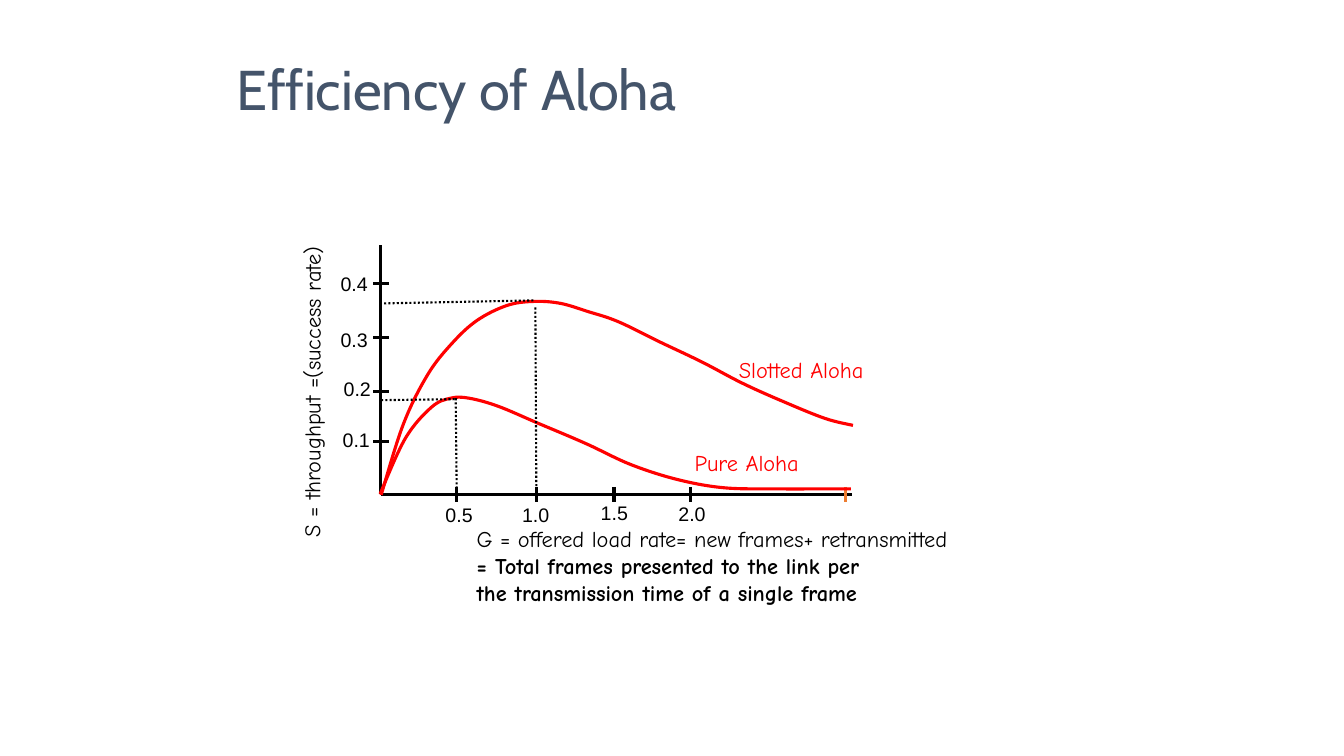
from dataclasses import dataclass

from lxml.etree import SubElement
from pptx import Presentation
from pptx.dml.color import RGBColor
from pptx.enum.dml import MSO_LINE
from pptx.enum.shapes import MSO_CONNECTOR
from pptx.enum.text import MSO_ANCHOR, MSO_AUTO_SIZE
from pptx.oxml.ns import qn
from pptx.shapes.freeform import FreeformBuilder
from pptx.shapes.shapetree import GroupShapes, SlideShapes
from pptx.util import Inches, Pt

Point = tuple[float, float]

COLORS = {"title": "44546A", "ink": "000000", "curve": "FF0000", "end_tick": "ED7D31"}


@dataclass
class Label:
    text: str
    left: float
    top: float
    width: float
    height: float
    size: int = 16
    font: str = "Comic Neue"
    color: str = "ink"
    wrap: bool = False
    grow: bool = True
    rotation: float = 0
    bold_from: int = 99  # index of the first bold paragraph


@dataclass
class Line:
    start: Point
    end: Point
    color: str = "ink"
    dotted: bool = False


@dataclass
class Tick:
    text: str
    pos: float
    label_left: float
    label_top: float


X_TICKS = [
    Tick("0.5", 4.53, 4.32, 4.94),
    Tick("1.0", 5.32, 5.08, 4.94),
    Tick("1.5", 6.09, 5.86, 4.92),
    Tick("2.0", 6.85, 6.63, 4.93),
]
Y_TICKS = [
    Tick("0.1", 4.38, 3.3, 4.2),
    Tick("0.2", 3.88, 3.31, 3.69),
    Tick("0.3", 3.35, 3.28, 3.2),
    Tick("0.4", 2.81, 3.28, 2.65),
]
AXES = [Line((3.78, 4.91), (8.45, 4.91)), Line((3.77, 4.9), (3.77, 2.43))]
END_TICK = Line((8.39, 4.83), (8.39, 4.98), "end_tick")
PEAK_GUIDES = [
    Line((3.78, 3.97), (4.53, 3.96), dotted=True),
    Line((4.52, 3.95), (4.53, 4.91), dotted=True),
    Line((5.31, 3.05), (5.32, 4.9), dotted=True),
    Line((3.81, 3.01), (5.31, 2.98), dotted=True),
]
PURE_ALOHA = [
    (3.77, 4.9), (4.02, 4.35), (4.28, 4.04), (4.47, 3.95), (4.65, 3.95), (4.94, 4.03),
    (5.34, 4.2), (5.81, 4.4), (6.26, 4.61), (6.73, 4.76), (7.19, 4.84), (7.72, 4.85),
    (8.16, 4.85), (8.44, 4.85),
]
SLOTTED_ALOHA = [
    (3.78, 4.91), (4, 4.21), (4.24, 3.72), (4.48, 3.41), (4.73, 3.18), (5.03, 3.03),
    (5.3, 2.99), (5.56, 3.01), (5.83, 3.09), (6.13, 3.19), (6.54, 3.39), (6.96, 3.59),
    (7.36, 3.8), (7.76, 3.98), (8.18, 4.15), (8.46, 4.22),
]
TITLE = Label("Efficiency of Aloha", 2.25, 0.25, 8.89, 1.25, 40, "Cabin", "title",
              wrap=True, grow=False)
Y_CAPTION = Label("S = throughput =(success rate)", 1.3, 3.45, 3.59, 0.37,
                  wrap=True, rotation=270.1)
X_CAPTION = Label("G = offered load rate= new frames+ retransmitted\n"
                  "= Total frames presented to the link per\n"
                  "the transmission time of a single frame",
                  4.63, 5.16, 5.44, 0.9, bold_from=1)
CURVE_NAMES = [
    Label("Pure Aloha", 6.79, 4.41, 1.31, 0.37, color="curve"),
    Label("Slotted Aloha", 7.23, 3.48, 1.64, 0.37, color="curve"),
]


def rgb(name: str) -> RGBColor:
    return RGBColor.from_string(COLORS[name])


def add_label(shapes: SlideShapes | GroupShapes, label: Label) -> None:
    box = shapes.add_textbox(*map(Inches, (label.left, label.top, label.width, label.height)))
    box.rotation = label.rotation
    tf = box.text_frame
    tf.text = label.text
    tf.word_wrap = label.wrap
    if label.grow:
        tf.auto_size = MSO_AUTO_SIZE.SHAPE_TO_FIT_TEXT
    else:
        tf.vertical_anchor = MSO_ANCHOR.MIDDLE
    for i, p in enumerate(tf.paragraphs):
        for r in p.runs:
            r.font.name = label.font
            r.font.size = Pt(label.size)
            r.font.bold = True if i >= label.bold_from else None
            r.font.color.rgb = rgb(label.color)


def add_line(shapes: GroupShapes, line: Line) -> None:
    cxn = shapes.add_connector(MSO_CONNECTOR.STRAIGHT,
                               *map(Inches, (*line.start, *line.end)))
    cxn.line.color.rgb = rgb(line.color)
    cxn.line.width = Pt(1.5 if line.dotted else 2.25)
    if line.dotted:
        cxn.line.dash_style = MSO_LINE.ROUND_DOT
    SubElement(cxn._element.spPr, qn("a:effectLst"))


def control_points(a: Point, b: Point, c: Point, d: Point) -> list[Point]:
    """Return the Bezier controls between b and c that keep a-b-c-d smooth."""
    return [
        (b[0] + (c[0] - a[0]) / 6, b[1] + (c[1] - a[1]) / 6),
        (c[0] - (d[0] - b[0]) / 6, c[1] - (d[1] - b[1]) / 6),
    ]


def add_curve(shapes: GroupShapes, knots: list[Point]) -> None:
    start, *rest = [(Inches(x), Inches(y)) for x, y in knots]
    builder: FreeformBuilder = shapes.build_freeform(*start)
    builder.add_line_segments(rest, close=False)
    sp = builder.convert_to_shape()
    sp.shadow.inherit = False
    sp.fill.background()
    sp.line.color.rgb = rgb("curve")
    sp.line.width = Pt(2.25)

    local = [(int(pt.get("x")), int(pt.get("y"))) for pt in sp._element.iter(qn("a:pt"))]
    padded = [local[0], *local, local[-1]]
    segments = list(sp._element.iter(qn("a:lnTo")))
    for i, segment in enumerate(segments):
        curve = SubElement(segment.getparent(), qn("a:cubicBezTo"))
        for x, y in [*control_points(*padded[i:i + 4]), local[i + 1]]:
            SubElement(curve, qn("a:pt"), x=str(round(x)), y=str(round(y)))
        segment.getparent().replace(segment, curve)


def add_tick_label(shapes: GroupShapes, tick: Tick) -> None:
    add_label(shapes, Label(tick.text, tick.label_left, tick.label_top, 0.47, 0.33, 14, "Arial"))


def main() -> None:
    prs = Presentation()
    prs.slide_width, prs.slide_height = Inches(13.33), Inches(7.5)
    s = prs.slides.add_slide(prs.slide_layouts[6])

    add_label(s.shapes, TITLE)
    add_label(s.shapes, Y_CAPTION)

    graph = s.shapes.add_group_shape().shapes
    x_marks = [Line((t.pos, 4.83), (t.pos, 4.98)) for t in X_TICKS]
    y_marks = [Line((3.7, t.pos), (3.86, t.pos)) for t in reversed(Y_TICKS)]
    for line in [*AXES, *x_marks, END_TICK, *y_marks]:
        add_line(graph, line)
    for knots in (PURE_ALOHA, SLOTTED_ALOHA):
        add_curve(graph, knots)
    for guide in PEAK_GUIDES:
        add_line(graph, guide)
    add_label(graph, X_CAPTION)
    for tick in X_TICKS + Y_TICKS:
        add_tick_label(graph, tick)
    for label in CURVE_NAMES:
        add_label(graph, label)

    prs.save("out.pptx")


if __name__ == "__main__":
    main()
